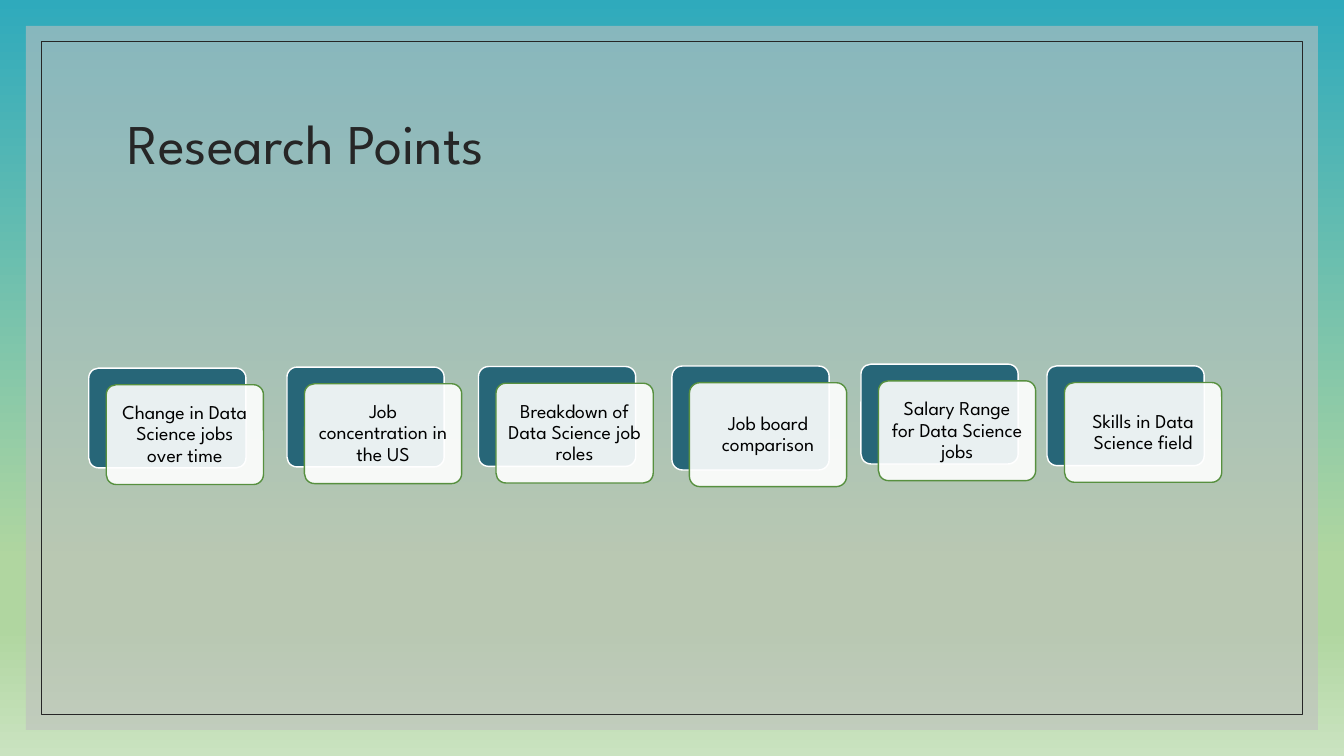
import lxml.etree
import pptx
import pptx.dml.color
import pptx.enum.shapes
import pptx.enum.text
import pptx.oxml.ns
import pptx.util

Pt = pptx.util.Pt
SHAPE = pptx.enum.shapes.MSO_SHAPE
ALIGN = pptx.enum.text.PP_ALIGN
MIDDLE = pptx.enum.text.MSO_ANCHOR.MIDDLE
qn = pptx.oxml.ns.qn

TITLE = "Research Points"
# text, left, top, height of the back plate
CARDS = [
    ("Change in Data Science jobs over time", 63.4, 262.9, 71.3),
    ("Job concentration in the US", 205, 262.2, 71.3),
    ("Breakdown of Data Science job roles", 341.8, 261.8, 71.3),
    ("Job board comparison", 480, 261.5, 74.2),
    ("Salary Range for Data Science jobs", 615, 260.1, 71.3),
    ("Skills in Data Science field", 747.9, 261.3, 71.3),
]

THEME = {
    "font": "League Spartan",
    "title": 40,
    "body": 14,
    "ink": "262626",
    "text": "000000",
    "panel": "BFBFBF",
    "plate": "276678",
    "white": "FFFFFF",
    "edge": "57903F",
    "sky": [(0, "2FAABC"), (74, "B0D6A0"), (83, "B0D6A0"), (100, "CAE3C0")],
}
WIDE, HIGH = 960, 540
CARD_W = 112.3
SHIFT_X, SHIFT_Y = 12.5, 11.9
INSET = 6.5


def color(name):
    return pptx.dml.color.RGBColor.from_string(THEME[name])


def apply(target, values):
    for key, value in values.items():
        setattr(target, key, value)


def paint_sky(slide):
    fill = slide.background.fill
    fill.gradient()
    fill.gradient_angle = 270
    stops = slide.element.find(".//" + qn("a:gsLst"))
    for old in list(stops):
        stops.remove(old)
    for place, shade in THEME["sky"]:
        stop = lxml.etree.SubElement(stops, qn("a:gs"), pos=str(place * 1000))
        lxml.etree.SubElement(stop, qn("a:srgbClr"), val=shade)


def add_box(slide, kind, box, fill=None, alpha=None, line=None, weight=1):
    """Add a shape; alpha is the opacity of its fill in percent."""
    shape = slide.shapes.add_shape(kind, *map(Pt, box))
    shape.shadow.inherit = False
    if fill:
        shape.fill.solid()
        shape.fill.fore_color.rgb = color(fill)
    else:
        shape.fill.background()
    if alpha:
        tint = shape.fill._xPr.find(".//" + qn("a:srgbClr"))
        lxml.etree.SubElement(tint, qn("a:alpha"), val=str(alpha * 1000))
    if line:
        shape.line.color.rgb = color(line)
        shape.line.width = Pt(weight)
    else:
        shape.line.fill.background()
    if kind == SHAPE.ROUNDED_RECTANGLE:
        shape.adjustments[0] = 0.1
    return shape


def write(shape, text, size, ink, align, inset=None):
    frame = shape.text_frame
    frame.text = text
    apply(frame, {
        "word_wrap": True,
        "vertical_anchor": MIDDLE,
        "auto_size": pptx.enum.text.MSO_AUTO_SIZE.NONE,
    })
    if inset:
        sides = ("left", "top", "right", "bottom")
        apply(frame, {f"margin_{side}": Pt(inset) for side in sides})
    para = frame.paragraphs[0]
    apply(para, {"alignment": align, "line_spacing": 0.9})
    font = para.runs[0].font
    apply(font, {"name": THEME["font"], "size": Pt(THEME[size])})
    font.color.rgb = color(ink)


def add_frame(slide):
    for gap, style in (
        (18.6, {"fill": "panel", "alpha": 60}),
        (29.4, {"line": "ink", "weight": 0.5}),
    ):
        box = (gap, gap, WIDE - 2 * gap, HIGH - 2 * gap)
        add_box(slide, SHAPE.RECTANGLE, box, **style)


def add_title(slide):
    title = slide.shapes.title
    slide.shapes._spTree.append(title.element)
    apply(title, {
        "left": Pt(84), "top": Pt(50.4), "width": Pt(792), "height": Pt(108),
    })
    write(title, TITLE, "title", "ink", ALIGN.LEFT)


def add_card(slide, text, left, top, high):
    kind = SHAPE.ROUNDED_RECTANGLE
    add_box(slide, kind, (left, top, CARD_W, high), "plate", line="white")
    front = (left + SHIFT_X, top + SHIFT_Y, CARD_W, high)
    card = add_box(slide, kind, front, "white", 90, "edge")
    write(card, text, "body", "text", ALIGN.CENTER, INSET)


def main():
    deck = pptx.Presentation()
    apply(deck, {"slide_width": Pt(WIDE), "slide_height": Pt(HIGH)})
    slide = deck.slides.add_slide(deck.slide_layouts[5])
    paint_sky(slide)
    add_frame(slide)
    add_title(slide)
    for card in CARDS:
        add_card(slide, *card)
    deck.save("out.pptx")


if __name__ == "__main__":
    main()
